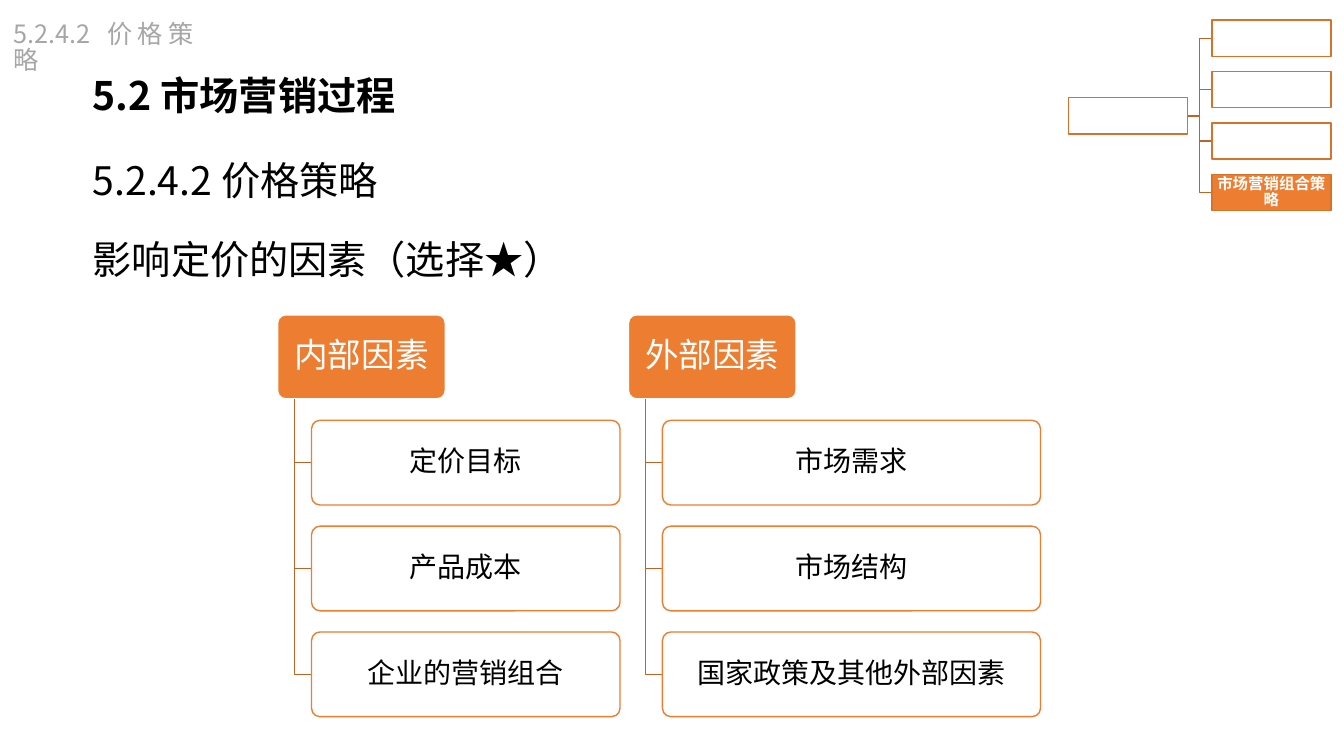
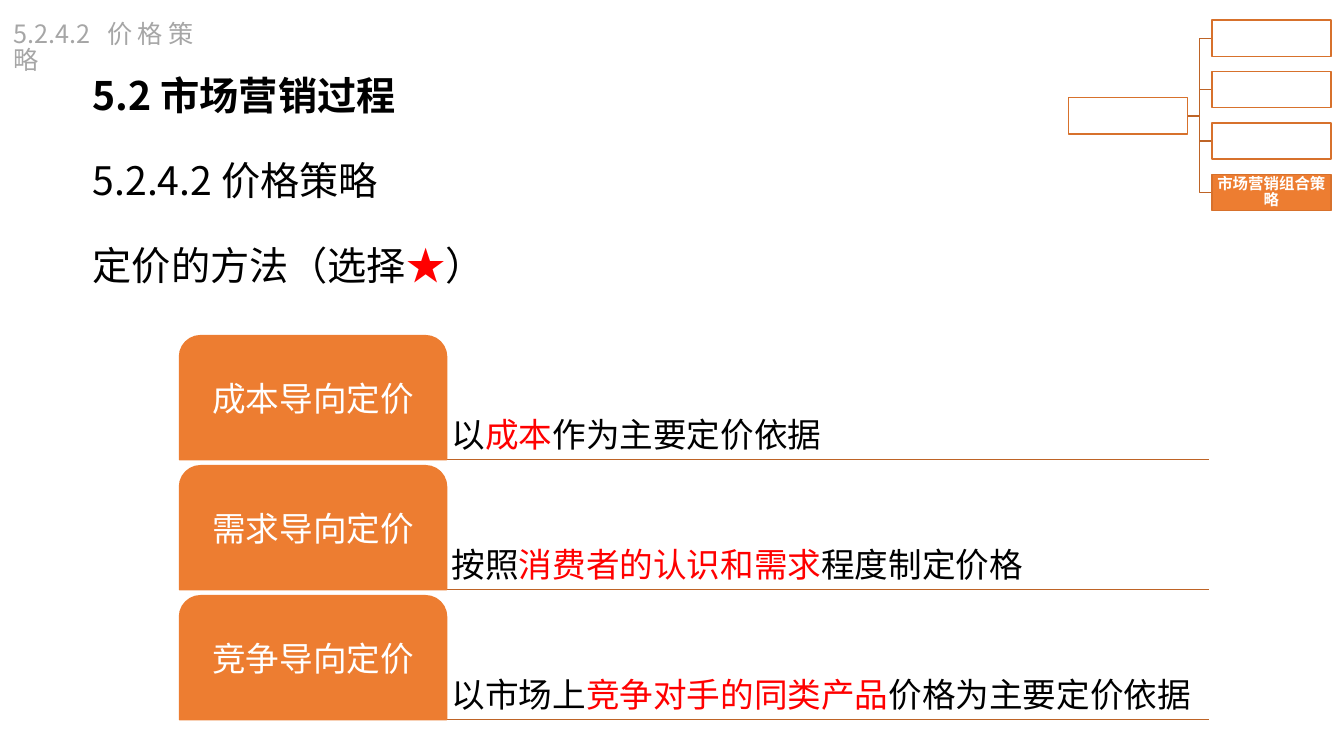
from dataclasses import dataclass

from pptx import Presentation
from pptx.dml.color import RGBColor
from pptx.enum.shapes import MSO_CONNECTOR as CONN, MSO_SHAPE as SHAPE
from pptx.enum.text import MSO_ANCHOR as ANCHOR, MSO_AUTO_SIZE as AUTO, PP_ALIGN as ALIGN
from pptx.oxml.ns import qn
from pptx.util import Inches, Pt


@dataclass(frozen=True)
class Theme:
    ink: str = "000000"
    paper: str = "FFFFFF"
    orange: str = "ED7D31"
    edge: str = "D7712C"
    rust: str = "BE6427"
    red: str = "FF0000"
    grey: str = "A6A6A6"
    font: str = "Noto Sans CJK SC"
    diagram_font: str = "Noto Sans CJK JP"
    heading: int = 28
    label: int = 24
    card: int = 20
    running: int = 18
    crumb: int = 11


@dataclass(frozen=True)
class Box:
    x: float
    y: float
    w: float
    h: float

    @property
    def right(self) -> float:
        return self.x + self.w

    @property
    def bottom(self) -> float:
        return self.y + self.h

    @property
    def mid(self) -> float:
        return self.y + self.h / 2

    def emu(self) -> tuple:
        return tuple(Inches(v) for v in (self.x, self.y, self.w, self.h))


@dataclass(frozen=True)
class FactorGroup:
    x: float
    card_w: float
    head: str
    cards: tuple


@dataclass(frozen=True)
class Method:
    name: str
    basis: str


T = Theme()
SECTION = "5.2.4.2 价格策略"
CRUMBS = ("", "", "", "市场营销组合策略")
FACTORS = (
    FactorGroup(2.75, 3.06, "内部因素", ("定价目标", "产品成本", "企业的营销组合")),
    FactorGroup(6.23, 3.75, "外部因素", ("市场需求", "市场结构", "国家政策及其他外部因素")),
)
METHODS = (
    Method("成本导向定价", "以|成本|作为主要定价依据"),
    Method("需求导向定价", "按照|消费者的认识和需求|程度制定价格"),
    Method("竞争导向定价", "以市场上|竞争对手的同类产品|价格为主要定价依据"),
)


def rgb(color: str) -> RGBColor:
    return RGBColor.from_string(color)


def write(sp, text: str, *, size: int, color: str = T.ink, font: str = T.font,
          bold: bool = False, align=ALIGN.LEFT, anchor=ANCHOR.MIDDLE,
          spacing: float = 1.0, inset: tuple = (0.12, 0.06)) -> None:
    """Text between bars is set in the accent red."""
    tf = sp.text_frame
    tf.word_wrap, tf.auto_size, tf.vertical_anchor = True, AUTO.NONE, anchor
    tf.margin_left = tf.margin_right = Inches(inset[0])
    tf.margin_top = tf.margin_bottom = Inches(inset[1])
    p = tf.paragraphs[0]
    p.alignment, p.line_spacing, p.space_before = align, spacing, Pt(0)
    for i, part in enumerate(text.split("|")):
        r = p.add_run()
        r.text = part
        r.font.size, r.font.bold, r.font.name = Pt(size), bold, font
        r.font.color.rgb = rgb(T.red if i % 2 else color)
        ea = r.font._element.makeelement(qn("a:ea"), {"typeface": font})
        r.font._element.find(qn("a:latin")).addnext(ea)


def place(sp, box: Box) -> None:
    sp.left, sp.top, sp.width, sp.height = box.emu()


def add_body(sp, text: str, y: float) -> None:
    place(sp, Box(0.8, y, 12.16, 1.04))
    write(sp, text, size=T.heading, spacing=1.5)
    pPr = sp.text_frame.paragraphs[0]._p.get_or_add_pPr()
    pPr.set("marL", "0")
    pPr.set("indent", "0")
    pPr.append(pPr.makeelement(qn("a:buNone"), {}))


def add_block(s, box: Box, *, kind=SHAPE.RECTANGLE, fill: str = T.paper,
              line: str = T.orange, width: float = 1, adj: tuple = ()):
    sp = s.shapes.add_shape(kind, *box.emu())
    sp.shadow.inherit = False
    sp.fill.solid()
    sp.fill.fore_color.rgb = rgb(fill)
    sp.line.color.rgb, sp.line.width = rgb(line), Pt(width)
    for i, value in enumerate(adj):
        sp.adjustments[i] = value
    return sp


def add_bent_line(s, *points: tuple) -> None:
    start, *rest = [(Inches(x), Inches(y)) for x, y in points]
    builder = s.shapes.build_freeform(*start)
    builder.add_line_segments(rest, close=False)
    sp = builder.convert_to_shape()
    sp.shadow.inherit = False
    sp.fill.background()
    sp.line.color.rgb, sp.line.width = rgb(T.rust), Pt(1)


def add_rule(s, x1: float, x2: float, y: float) -> None:
    c = s.shapes.add_connector(CONN.STRAIGHT, Inches(x1), Inches(y), Inches(x2), Inches(y))
    c.line.color.rgb, c.line.width = rgb(T.rust), Pt(1)
    spPr = c._element.spPr
    spPr.append(spPr.makeelement(qn("a:effectLst"), {}))


def add_crumb_tree(s) -> None:
    root = Box(10.6, 0.97, 1.18, 0.36)
    boxes = [Box(12.02, 0.2 + i * 0.51, root.w, root.h) for i in range(len(CRUMBS))]
    spine = (root.right + boxes[0].x) / 2
    for box in boxes:
        add_bent_line(s, (root.right, root.mid), (spine, root.mid),
                      (spine, box.mid), (box.x, box.mid))
    add_block(s, root, line=T.edge)
    for box, text in zip(boxes, CRUMBS):
        sp = add_block(s, box, fill=T.orange if text else T.paper, line=T.edge)
        if text:
            write(sp, text, size=T.crumb, color=T.paper, bold=True,
                  align=ALIGN.CENTER, spacing=0.9, inset=(0.01, 0.01))


def add_frame(prs, topic: str, topic_y: float):
    s = prs.slides.add_slide(prs.slide_layouts.get_by_name("Two Content"))
    title, section, subject = s.placeholders
    place(title, Box(0.8, 0.65, 11.45, 0.59))
    write(title, "5.2 市场营销过程", size=T.heading, bold=True, anchor=ANCHOR.TOP)
    add_body(section, SECTION, 1.15)
    add_body(subject, topic, topic_y)
    running = s.shapes.add_textbox(*Box(0.04, 0.18, 1.98, 0.4).emu())
    write(running, SECTION, size=T.running, color=T.grey, align=ALIGN.JUSTIFY,
          anchor=ANCHOR.TOP, spacing=0.85, inset=(0.1, 0.05))
    add_crumb_tree(s)
    return s


def add_factor_group(s, group: FactorGroup) -> None:
    head = Box(group.x, 3.12, 1.67, 0.84)
    spine, card_x = head.x + 0.17, head.x + 0.34
    style = dict(font=T.diagram_font, align=ALIGN.CENTER, spacing=0.9, inset=(0.05, 0.03))
    sp = add_block(s, head, kind=SHAPE.ROUNDED_RECTANGLE, fill=T.orange,
                   line=T.paper, width=1.5, adj=(0.1,))
    write(sp, group.head, size=T.label, color=T.paper, **style)
    for i, text in enumerate(group.cards, start=1):
        card = Box(card_x, head.y + i * 1.05, group.card_w, head.h)
        add_bent_line(s, (spine, head.bottom), (spine, card.mid), (card.x, card.mid))
        sp = add_block(s, card, kind=SHAPE.ROUNDED_RECTANGLE, adj=(0.1,))
        write(sp, text, size=T.card, **style)


def add_method(s, method: Method, y: float) -> None:
    tab = Box(1.78, y, 2.65, 1.23)
    basis = Box(tab.right, y, 7.56, tab.h)
    style = dict(size=T.label, font=T.diagram_font, spacing=0.9, inset=(0.05, 0.05))
    add_rule(s, tab.x, basis.right, tab.bottom)
    write(s.shapes.add_textbox(*basis.emu()), method.basis, anchor=ANCHOR.BOTTOM, **style)
    sp = add_block(s, tab, kind=SHAPE.ROUND_2_SAME_RECTANGLE, fill=T.orange, adj=(0.17, 0))
    write(sp, method.name, color=T.paper, align=ALIGN.CENTER, **style)


def build_factors(prs) -> None:
    s = add_frame(prs, "影响定价的因素（选择★）", 1.93)
    for group in FACTORS:
        add_factor_group(s, group)


def build_methods(prs) -> None:
    s = add_frame(prs, "定价的方法（选择|★|）", 1.99)
    for i, method in enumerate(METHODS):
        add_method(s, method, 3.33 + i * 1.29)


def main() -> None:
    prs = Presentation()
    prs.slide_width, prs.slide_height = Inches(13.33), Inches(7.5)
    build_factors(prs)
    build_methods(prs)
    prs.save("out.pptx")


if __name__ == "__main__":
    main()
